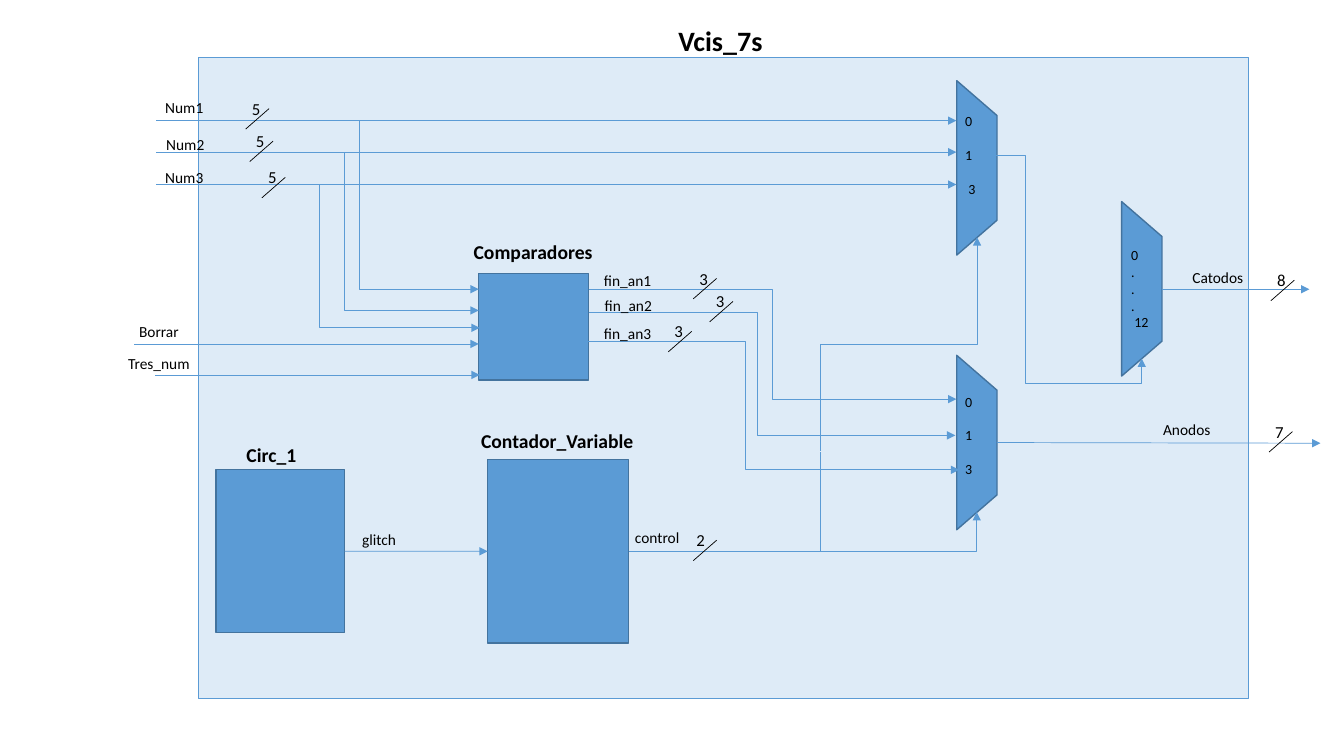
from dataclasses import dataclass

from lxml import etree
from pptx import Presentation
from pptx import util as u
from pptx.dml.color import RGBColor
from pptx.enum import shapes, text
from pptx.oxml.ns import qn

Point = tuple[float, float]


@dataclass(frozen=True)
class Theme:
    font: str = "Calibri"
    panel: str = "DEEBF7"
    block: str = "5B9BD5"
    edge: str = "43739E"
    wire: str = "5B9BD5"
    ink: str = "000000"
    title: float = 20
    heading: float = 14
    width: float = 12
    signal: float = 11
    port: float = 10
    port_line: float = 12.2


@dataclass(frozen=True)
class Block:
    name: str
    left: float
    top: float
    width: float
    height: float
    fill: str
    edge: str
    mux: bool = False


@dataclass(frozen=True)
class Label:
    lines: tuple[str, ...]
    left: float
    top: float
    width: float
    height: float
    size: float
    bold: bool = False
    wrap: bool = True
    gap: float = 0


@dataclass(frozen=True)
class Wire:
    begin: Point
    end: Point
    preset: str = "line"
    adjust: tuple[float, ...] = ()
    rotation: int = 0
    arrow: bool = True
    source: str = ""
    target: str = ""


@dataclass(frozen=True)
class BusWidth:
    bits: str
    x: float
    y: float
    offset: float = 19.4


T = Theme()


def mux(name: str, left: float, top: float) -> Block:
    return Block(name, left, top, 124.6, 28.8, T.block, T.edge, True)


def ports(lines: tuple[str, ...], left: float, top: float, gap: float = 0) -> Label:
    return Label(lines, left, top, 28.8, 67.7, T.port, gap=gap)


def heading(name: str, left: float, top: float, width: float) -> Label:
    return Label((name,), left, top, width, 24.5, T.heading, True, False)


def signal(name: str, left: float, top: float, width: float = 51.8) -> Label:
    return Label((name,), left, top, width, 20.9, T.signal)


BLOCKS = [
    Block("Vcis_7s", 141.8, 41, 749.9, 458.2, T.panel, T.wire),
    Block("Circ_1", 154.3, 335.4, 91.8, 116.6, T.block, T.edge),
    Block("Contador_Variable", 348.4, 328.3, 100.6, 131, T.block, T.edge),
    Block("Comparadores", 342, 195.3, 78.5, 76.2, T.block, T.edge),
    mux("Num mux", 635.5, 105.5),
    mux("Anodos mux", 635.5, 301.7),
    mux("Catodos mux", 753.3, 191.9),
]

LABELS = [
    Label(("Vcis_7s",), 477.4, 13.3, 75.6, 31.7, T.title, True, False),
    heading("Circ_1", 169, 312.8, 50.4),
    heading("Contador_Variable", 336.5, 303.1, 123.8),
    heading("Comparadores", 331.2, 167.8, 100.1),
    ports(("0", "1", " 3"), 682.4, 77, T.port_line),
    ports(("0", "1", "3"), 682.4, 277.2, T.port_line),
    ports(("0", ".", ".", ".", " 12"), 800.9, 172.6),
    signal("Num1", 110.9, 66.2),
    signal("Num2", 111.6, 92.9),
    signal("Num3", 110.9, 116.6),
    signal("Borrar", 92.2, 226.8),
    signal("Tres_num", 84.4, 249.5, 62.6),
    signal("fin_an1", 424.3, 190.1),
    signal("fin_an2", 424.8, 208.1),
    signal("fin_an3", 424.3, 227.8),
    signal("glitch", 251.5, 375.1),
    signal("control", 446.4, 373.7),
    signal("Anodos", 823.7, 296.2),
    signal("Catodos", 844.6, 187.9),
]

BENT2, BENT3, BENT4 = (f"bentConnector{n}" for n in (2, 3, 4))

WIRES = [
    # Inputs
    *(Wire((111.6, y), (683.2, y)) for y in (86.2, 108.7, 131.8)),
    Wire((95.8, 245.7), (342, 245.7)),
    Wire((110.9, 267.8), (342.7, 267.8)),
    # Number taps into Comparadores
    Wire((171.4, 86.2), (342, 206.6), BENT3, (0.5,)),
    Wire((150.5, 108.7), (342, 221.8), BENT3, (0.5,)),
    Wire((151.9, 131.8), (342.7, 234.2), BENT3, (0.4,)),
    # Comparadores into the anode mux
    Wire((420.5, 206.6), (683.2, 285.1), BENT3, (0.5,)),
    Wire((420.5, 223.2), (682.4, 311), BENT3, (0.46,)),
    Wire((417.6, 244.1), (685.2, 335.6), BENT3, (0.43,)),
    # Counter and control
    Wire((246.1, 393.8), (348.4, 393.8), source="Circ_1", target="Contador_Variable"),
    Wire((449, 393.8), (697.7, 365.8), BENT2, source="Contador_Variable"),
    Wire((449, 393.8), (585.9, 322.6), BENT3, (1,), arrow=False,
         source="Contador_Variable"),
    Wire((718.4, 301.7), (565.7, 190.1), BENT3, (0.5,), rotation=90),
    # Mux outputs
    Wire((711.4, 110.9), (815.6, 256.2), BENT4, (0.2, 1.12)),
    Wire((830.2, 206.6), (935.3, 206.6)),
    Wire((712.1, 316.1), (943.2, 316.6)),
]

BUS_WIDTHS = [
    BusWidth("5", 192.2, 77.6), BusWidth("5", 195.1, 100.8), BusWidth("5", 203.8, 126.7),
    BusWidth("3", 511.9, 198.9), BusWidth("3", 523.6, 215.3), BusWidth("3", 494.1, 236.7),
    BusWidth("2", 511.9, 385.9, 21.6),
    BusWidth("8", 924.5, 200.2), BusWidth("7", 923.2, 308.3),
]


def draw_block(s, b: Block):
    kind = shapes.MSO_SHAPE.FLOWCHART_MANUAL_OPERATION if b.mux else shapes.MSO_SHAPE.RECTANGLE
    sp = s.shapes.add_shape(kind, u.Pt(b.left), u.Pt(b.top), u.Pt(b.width), u.Pt(b.height))
    if b.mux:
        sp.rotation = 270
    sp.shadow.inherit = False
    sp.fill.solid()
    sp.fill.fore_color.rgb = RGBColor.from_string(b.fill)
    sp.line.color.rgb = RGBColor.from_string(b.edge)
    sp.line.width = u.Pt(1)
    return sp


def draw_label(s, label: Label) -> None:
    sp = s.shapes.add_textbox(u.Pt(label.left), u.Pt(label.top),
                              u.Pt(label.width), u.Pt(label.height))
    tf = sp.text_frame
    tf.word_wrap = label.wrap
    tf.auto_size = text.MSO_AUTO_SIZE.SHAPE_TO_FIT_TEXT
    for i, line in enumerate(label.lines):
        p = tf.paragraphs[0] if i == 0 else tf.add_paragraph()
        p.space_before = u.Pt(label.gap if i else 0)
        r = p.add_run()
        r.text = line
        r.font.name, r.font.size, r.font.bold = T.font, u.Pt(label.size), label.bold
        r.font.color.rgb = RGBColor.from_string(T.ink)


def draw_wire(s, w: Wire, blocks: dict, color: str = T.wire) -> None:
    kind = shapes.MSO_CONNECTOR.STRAIGHT if w.preset == "line" else shapes.MSO_CONNECTOR.ELBOW
    c = s.shapes.add_connector(kind, *(u.Pt(v) for v in w.begin + w.end))
    if w.source:
        c.begin_connect(blocks[w.source], 3)
    if w.target:
        c.end_connect(blocks[w.target], 1)
    c.line.color.rgb = RGBColor.from_string(color)
    c.line.width = u.Pt(0.5)
    # Bends, rotation, arrowhead and no shadow
    props = c._element.spPr
    geometry = props.find(qn("a:prstGeom"))
    geometry.set("prst", w.preset)
    for i, value in enumerate(w.adjust, 1):
        etree.SubElement(geometry.find(qn("a:avLst")), qn("a:gd"),
                         name=f"adj{i}", fmla=f"val {round(value * 100000)}")
    if w.rotation:
        props.find(qn("a:xfrm")).set("rot", str(w.rotation * 60000))
    if w.arrow:
        etree.SubElement(props.find(qn("a:ln")), qn("a:tailEnd"), type="triangle")
    etree.SubElement(props, qn("a:effectLst"))


def draw_bus_width(s, b: BusWidth) -> None:
    draw_wire(s, Wire((b.x, b.y), (b.x - 16.7, b.y + 14.6), arrow=False), {}, T.ink)
    draw_label(s, Label((b.bits,), b.x - b.offset, b.y - 10.8, 20.9, 21.6, T.width, wrap=False))


def main() -> None:
    prs = Presentation()
    prs.slide_width, prs.slide_height = u.Pt(960), u.Pt(540)
    s = prs.slides.add_slide(prs.slide_layouts[6])
    blocks = {b.name: draw_block(s, b) for b in BLOCKS}
    for w in WIRES:
        draw_wire(s, w, blocks)
    for label in LABELS:
        draw_label(s, label)
    for b in BUS_WIDTHS:
        draw_bus_width(s, b)
    prs.save("out.pptx")


if __name__ == "__main__":
    main()
